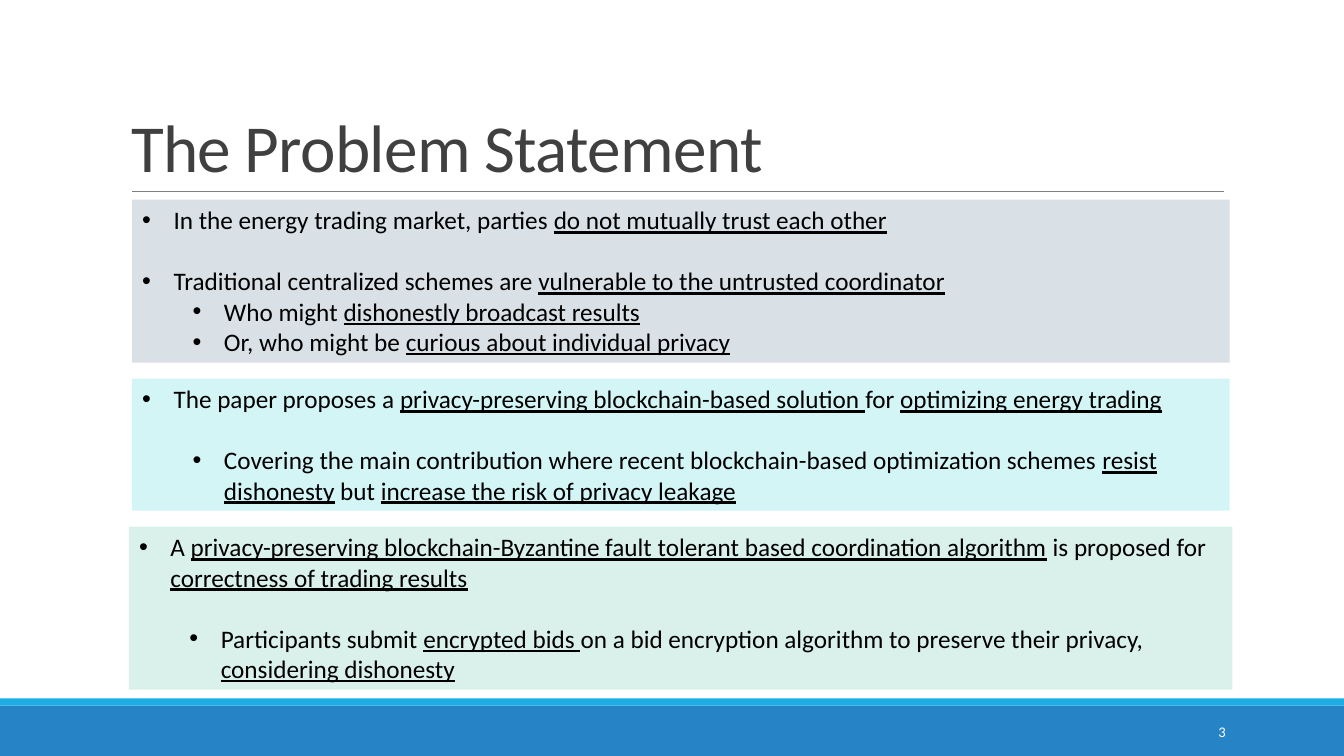
from lxml import etree
from pptx import Presentation
from pptx.dml.color import RGBColor
from pptx.enum.shapes import MSO_CONNECTOR, MSO_SHAPE
from pptx.enum.text import MSO_ANCHOR, MSO_AUTO_SIZE, PP_ALIGN
from pptx.oxml.ns import qn
from pptx.util import Cm, Pt

RECT = MSO_SHAPE.RECTANGLE
STRAIGHT = MSO_CONNECTOR.STRAIGHT
TOP, MIDDLE, BOTTOM = MSO_ANCHOR.TOP, MSO_ANCHOR.MIDDLE, MSO_ANCHOR.BOTTOM
LEFT, RIGHT = PP_ALIGN.LEFT, PP_ALIGN.RIGHT
NO_FIT = MSO_AUTO_SIZE.NONE
FONT = "Calibri"
SLIDE_W, SLIDE_H = 33.87, 19.05
COMPARISON = 4
PANEL_GAP = 0.4
LINE_GAP = 22

PANELS = [
    ("D9E0E6", 3.33, 27.66, 4.11, [
        (0, 0, "In the energy trading market, parties *do not mutually trust each other*"),
        (0, LINE_GAP, "Traditional centralized schemes are *vulnerable to the untrusted coordinator*"),
        (1, 0, "Who might *dishonestly broadcast results*"),
        (1, 0, "Or, who might be *curious about individual privacy*"),
    ]),
    ("D3F5F6", 3.33, 27.66, 3.33, [
        (0, 0, "The paper proposes a *privacy-preserving blockchain-based solution *for "
               "*optimizing energy trading*"),
        (1, LINE_GAP, "Covering the main contribution where recent blockchain-based optimization "
                      "schemes *resist dishonesty* but *increase the risk of privacy leakage*"),
    ]),
    ("D9F1EA", 3.25, 27.81, 4.11, [
        (0, 0, "A *privacy-preserving blockchain-Byzantine fault tolerant based coordination "
               "algorithm* is proposed for *correctness of trading results*"),
        (1, LINE_GAP, "Participants submit *encrypted bids *on a bid encryption algorithm to "
                      "preserve their privacy, *considering dishonesty*"),
    ]),
]


def rgb(color):
    return RGBColor.from_string(color)


def place(sp, x, y, w, h):
    sp.left, sp.top, sp.width, sp.height = Cm(x), Cm(y), Cm(w), Cm(h)


def set_frame(tf, anchor):
    tf.word_wrap = True
    tf.auto_size = NO_FIT
    tf.vertical_anchor = anchor


def add_text(p, text, size=18, color="000000", align=LEFT, before=0, spacing=1.0, tracking=None):
    p.alignment = align
    p.space_before = Pt(before)
    p.space_after = Pt(0)
    p.line_spacing = spacing
    for i, part in enumerate(text.split("*")):
        if part:
            r = p.add_run()
            r.text = part
            r.font.name = FONT
            r.font.size = Pt(size)
            r.font.bold = False
            r.font.underline = i % 2 == 1
            r.font.color.rgb = rgb(color)
            if tracking is not None:
                r.font._element.set("spc", str(tracking))


def add_bullet(p, level):
    p.level = level
    pPr = p._p.get_or_add_pPr()
    pPr.set("marL", str(Cm(0.79 + 1.27 * level)))
    pPr.set("indent", str(-Cm(0.79)))
    etree.SubElement(pPr, qn("a:buFont")).set("typeface", "Arial")
    etree.SubElement(pPr, qn("a:buChar")).set("char", "•")


def add_bar(s, color, x, y, w, h):
    sp = s.shapes.add_shape(RECT, Cm(x), Cm(y), Cm(w), Cm(h))
    sp.shadow.inherit = False
    sp.fill.solid()
    sp.fill.fore_color.rgb = rgb(color)
    sp.line.fill.background()


def add_title(s, text, x, y, w, h):
    sp = s.shapes.title
    place(sp, x, y, w, h)
    set_frame(sp.text_frame, BOTTOM)
    add_text(sp.text_frame.paragraphs[0], text, size=48, color="404040", spacing=0.85, tracking=-50)
    rule = s.shapes.add_connector(STRAIGHT, Cm(x + 0.28), Cm(y + h), Cm(x + w - 0.14), Cm(y + h))
    rule.line.color.rgb = rgb("808080")
    rule.line.width = Pt(0.5)
    etree.SubElement(rule._element.spPr, qn("a:effectLst"))


def add_panel(sp, color, items, x, y, w, h):
    place(sp, x, y, w, h)
    sp.fill.solid()
    sp.fill.fore_color.rgb = rgb(color)
    tf = sp.text_frame
    set_frame(tf, TOP)
    for i, (level, before, text) in enumerate(items):
        p = tf.add_paragraph() if i else tf.paragraphs[0]
        add_bullet(p, level)
        add_text(p, text, before=before)


def add_footer(s, number, x, y, w, h):
    add_bar(s, "2683C6", x, y + 0.18, w, h - 0.18)
    add_bar(s, "1CADE4", x, y, w, 0.18)
    sp = s.shapes.add_textbox(Cm(x + 27.51), Cm(y + 0.33), Cm(3.63), Cm(1.02))
    set_frame(sp.text_frame, MIDDLE)
    add_text(sp.text_frame.paragraphs[0], number, size=10.5, color="FFFFFF", align=RIGHT)


def main():
    prs = Presentation()
    prs.slide_width, prs.slide_height = Cm(SLIDE_W), Cm(SLIDE_H)
    s = prs.slides.add_slide(prs.slide_layouts[COMPARISON])
    add_footer(s, "3", 0, 17.6, SLIDE_W, SLIDE_H - 17.6)
    add_title(s, "The Problem Statement", 3.05, 0.79, 27.94, 4.04)

    bodies = [sp for sp in s.placeholders if sp.placeholder_format.idx > 0]
    y = 5.03
    for sp, (color, x, w, h, items) in zip(bodies, PANELS):
        add_panel(sp, color, items, x, y, w, h)
        y += h + PANEL_GAP
    for sp in bodies[len(PANELS):]:
        sp._element.getparent().remove(sp._element)

    prs.save("out.pptx")


if __name__ == "__main__":
    main()
